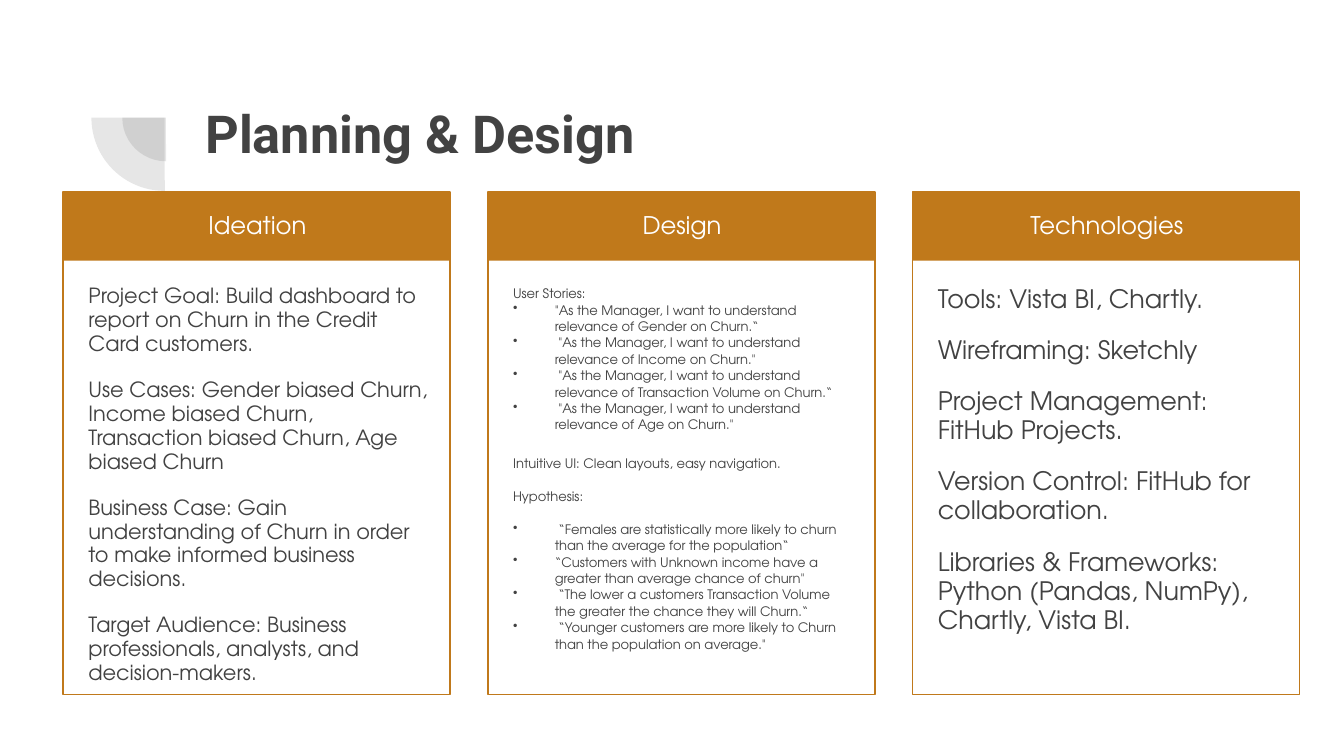
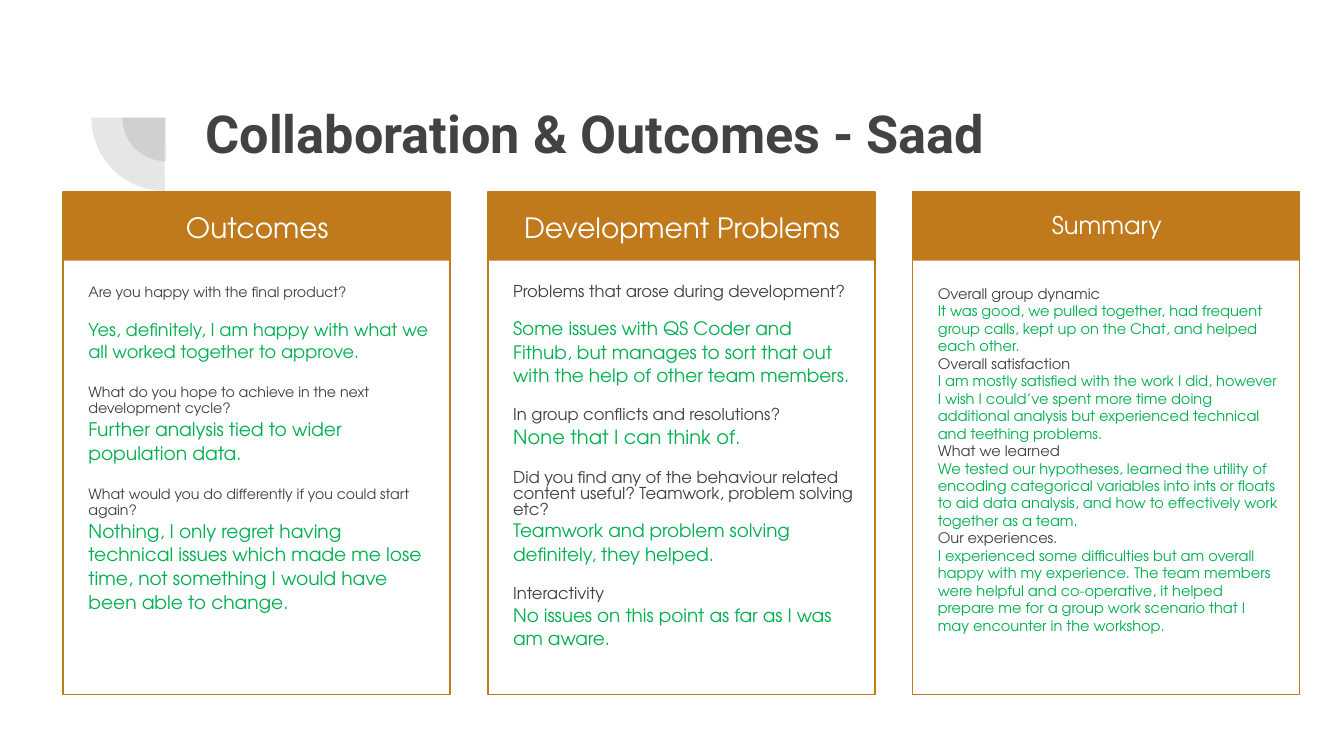
"""Build two slides of three titled cards about a churn dashboard project."""
import dataclasses

import lxml.etree
import pptx
import pptx.dml.color
import pptx.enum.shapes
import pptx.enum.text
import pptx.oxml.ns
import pptx.util

Inches = pptx.util.Inches
Pt = pptx.util.Pt
qn = pptx.oxml.ns.qn


@dataclasses.dataclass(frozen=True)
class Theme:
    """Colours, fonts and type sizes."""
    accent: str = "C0791B"
    ink: str = "424242"
    answer: str = "00B050"
    paper: str = "FFFFFF"
    title_font: str = "Roboto"
    body_font: str = "TeX Gyre Adventor"
    title_size: float = 28
    heading_size: float = 13
    large_heading_size: float = 15
    ideation_size: float = 11.2
    design_size: float = 7
    technology_size: float = 13.6
    outcome_size: float = 7.6
    problem_size: float = 8.8
    summary_size: float = 7.8
    answer_size: float = 9.9


THEME = Theme()
CARD_LEFT, CARD_TOP, CARD_STEP = 0.47, 1.43, 3.16
CARD_WIDTH, CARD_HEIGHT, BAND_HEIGHT = 2.88, 3.74, 0.51


@dataclasses.dataclass
class Note:
    """One paragraph of a text box."""
    text: str
    size: float
    color: str = THEME.ink
    spacing: float = 1.0
    before: float = 0
    bullet: bool = False
    font: str = THEME.body_font
    bold: bool = False
    align: pptx.enum.text.PP_ALIGN = pptx.enum.text.PP_ALIGN.LEFT


@dataclasses.dataclass
class Card:
    """A heading with the notes below it."""
    heading: str
    notes: list
    heading_size: float = THEME.heading_size


def rgb(color):
    """Turn a hex string into a colour."""
    return pptx.dml.color.RGBColor.from_string(color)


def add_bullet(para):
    """Give a paragraph a hanging bullet."""
    properties = para._p.get_or_add_pPr()
    properties.set("marL", str(Inches(0.31)))
    properties.set("indent", str(-Inches(0.31)))
    bullet_color = lxml.etree.SubElement(properties, qn("a:buClr"))
    lxml.etree.SubElement(bullet_color, qn("a:srgbClr"), val=THEME.ink)
    lxml.etree.SubElement(properties, qn("a:buChar"), char="•")


def add_text(page, left, top, width, height, notes):
    """Add a wrapping text box with one paragraph per note."""
    box = page.shapes.add_textbox(Inches(left), Inches(top), Inches(width), Inches(height))
    frame = box.text_frame
    frame.word_wrap = True
    frame.vertical_anchor = pptx.enum.text.MSO_ANCHOR.TOP
    frame.margin_left = frame.margin_right = Inches(0.1)
    frame.margin_top = frame.margin_bottom = Inches(0.1)
    for index, note in enumerate(notes):
        para = frame.add_paragraph() if index else frame.paragraphs[0]
        para.alignment = note.align
        para.line_spacing = note.spacing
        para.space_before = Pt(note.before)
        if note.bullet:
            add_bullet(para)
        span = para.add_run()
        span.text = note.text
        span.font.name = note.font
        span.font.size = Pt(note.size)
        span.font.bold = note.bold
        span.font.color.rgb = rgb(note.color)


def add_panel(page, kind, left, top, width, height, fill=None, line=None):
    """Add a flat preset shape."""
    shape = page.shapes.add_shape(
        kind, Inches(left), Inches(top), Inches(width), Inches(height))
    shape.shadow.inherit = False
    if fill:
        shape.fill.solid()
        shape.fill.fore_color.rgb = rgb(fill)
    else:
        shape.fill.background()
    if line:
        shape.line.color.rgb = rgb(line)
        shape.line.width = Pt(0.75)
    else:
        shape.line.fill.background()
    return shape


def add_quarter(page, left, top, size):
    """Add a translucent quarter disc."""
    quarter = add_panel(page, pptx.enum.shapes.MSO_SHAPE.PIE, left, top, size, size, THEME.ink)
    quarter.rotation = 270
    quarter.adjustments[0] = 107.93
    quarter.adjustments[1] = 162
    for color in quarter.element.spPr.iter(qn("a:srgbClr")):
        lxml.etree.SubElement(color, qn("a:alpha"), val="13000")


def add_card(page, column, card):
    """Add a framed card with a coloured heading band."""
    left = CARD_LEFT + column * CARD_STEP
    rectangle = pptx.enum.shapes.MSO_SHAPE.RECTANGLE
    add_panel(page, rectangle, left, CARD_TOP, CARD_WIDTH, BAND_HEIGHT, fill=THEME.accent)
    add_panel(page, rectangle, left, CARD_TOP, CARD_WIDTH, CARD_HEIGHT, line=THEME.accent)
    heading = Note(card.heading, card.heading_size, THEME.paper, 1.15,
                   align=pptx.enum.text.PP_ALIGN.CENTER)
    add_text(page, left + 0.08, CARD_TOP, 2.73, 0.5, [heading])
    add_text(page, left + 0.09, 2.02, 2.73, 3.06, card.notes)


def add_page(deck, title, cards):
    """Add a slide with a title and its row of cards."""
    page = deck.slides.add_slide(deck.slide_layouts[6])
    page.background.fill.solid()
    page.background.fill.fore_color.rgb = rgb(THEME.paper)
    add_quarter(page, 0.91, 0.55, 0.65)
    add_quarter(page, 0.68, 0.33, 1.09)
    add_text(page, 1.43, 0.65, 7.69, 1.09,
             [Note(title, THEME.title_size, font=THEME.title_font, bold=True)])
    for column, card in enumerate(cards):
        add_card(page, column, card)


def spaced(size, texts):
    """Make notes set apart by a fixed gap."""
    return [Note(text, size, spacing=0.95, before=12 if index else 0)
            for index, text in enumerate(texts)]


def design_notes(texts, bullet=False, before=0):
    """Make small notes whose first one follows a gap."""
    return [Note(text, THEME.design_size, spacing=1.05, bullet=bullet,
                 before=0 if index else before)
            for index, text in enumerate(texts)]


def interview(size, spacing, first_gap, pairs):
    """Make questions with coloured answers of their own size."""
    notes = []
    for index, (question, answer, answer_size) in enumerate(pairs):
        notes.append(Note(question, size, spacing=spacing, before=12 if index else 0))
        notes.append(Note(answer, answer_size, THEME.answer, 1.05,
                          before=0 if index else first_gap))
    return notes


def planning_cards():
    """Return the cards on planning and design."""
    ideation = spaced(THEME.ideation_size, [
        "Project Goal: Build dashboard to report on Churn in the Credit Card customers.",
        "Use Cases: Gender biased Churn, Income biased Churn, Transaction biased Churn, "
        "Age biased Churn",
        "Business Case: Gain understanding of Churn in order to make informed business decisions.",
        "Target Audience: Business professionals, analysts, and decision-makers.",
    ])
    design = [
        *design_notes(["User Stories:"]),
        *design_notes([
            "\"As the Manager, I want to understand relevance of Gender on Churn.“",
            " \"As the Manager, I want to understand relevance of Income on Churn.\"",
            " \"As the Manager, I want to understand relevance of Transaction Volume on Churn.“",
            " \"As the Manager, I want to understand relevance of Age on Churn.\"",
        ], bullet=True),
        *design_notes(["Intuitive UI: Clean layouts, easy navigation."], before=12),
        *design_notes(["Hypothesis:"], before=8.8),
        *design_notes([
            " “Females are statistically more likely to churn than the average "
            "for the population“",
            "“Customers with Unknown income have a greater than average chance of churn\"",
            " “The lower a customers Transaction Volume the greater the chance they will Churn.“",
            " “Younger customers are more likely to Churn than the population on average.\"",
        ], bullet=True, before=8.8),
    ]
    technologies = spaced(THEME.technology_size, [
        "Tools: Vista BI, Chartly.",
        "Wireframing: Sketchly",
        "Project Management: FitHub Projects.",
        "Version Control: FitHub for collaboration.",
        "Libraries & Frameworks: Python (Pandas, NumPy), Chartly, Vista BI.",
    ])
    return [Card("Ideation", ideation), Card("Design", design),
            Card("Technologies", technologies)]


def collaboration_cards():
    """Return the cards on collaboration and outcomes."""
    outcomes = interview(THEME.outcome_size, 0.95, 8.7, [
        ("Are you happy with the final product?",
         "Yes, definitely, I am happy with what we all worked together to approve.", 9.5),
        ("What do you hope to achieve in the next development cycle?",
         "Further analysis tied to wider population data.", 10),
        ("What would you do differently if you could start again?",
         "Nothing, I only regret having technical issues which made me lose time, "
         "not something I would have been able to change.", 10),
    ])
    problems = interview(THEME.problem_size, 0.8, 8.4, [
        ("Problems that arose during development?",
         "Some issues with QS Coder and Fithub, but manages to sort that out "
         "with the help of other team members.", THEME.answer_size),
        ("In group conflicts and resolutions?", "None that I can think of.", 10.4),
        ("Did you find any of the behaviour related content useful? "
         "Teamwork, problem solving etc?",
         "Teamwork and problem solving definitely, they helped.", THEME.answer_size),
        ("Interactivity", "No issues on this point as far as I was am aware.",
         THEME.answer_size),
    ])
    summary = [Note(text, THEME.summary_size, color) for pair in [
        ("Overall group dynamic",
         "It was good, we pulled together, had frequent group calls, kept up on the Chat, "
         "and helped each other."),
        ("Overall satisfaction",
         "I am mostly satisfied with the work I did, however I wish I could’ve spent more time "
         "doing additional analysis but experienced technical and teething problems."),
        ("What we learned",
         "We tested our hypotheses, learned the utility of encoding categorical variables into "
         "ints or floats to aid data analysis, and how to effectively work together as a team."),
        ("Our experiences.",
         "I experienced some difficulties but am overall happy with my experience. The team "
         "members were helpful and co-operative, it helped prepare me for a group work scenario "
         "that I may encounter in the workshop."),
    ] for text, color in zip(pair, (THEME.ink, THEME.answer))]
    return [Card("Outcomes", outcomes, THEME.large_heading_size),
            Card("Development Problems", problems, THEME.large_heading_size),
            Card("Summary", summary)]


def main():
    """Build and save the deck."""
    deck = pptx.Presentation()
    deck.slide_width = Inches(10)
    deck.slide_height = Inches(10 * 9 / 16)
    add_page(deck, "Planning & Design", planning_cards())
    add_page(deck, "Collaboration & Outcomes - Saad", collaboration_cards())
    deck.save("out.pptx")


if __name__ == "__main__":
    main()
